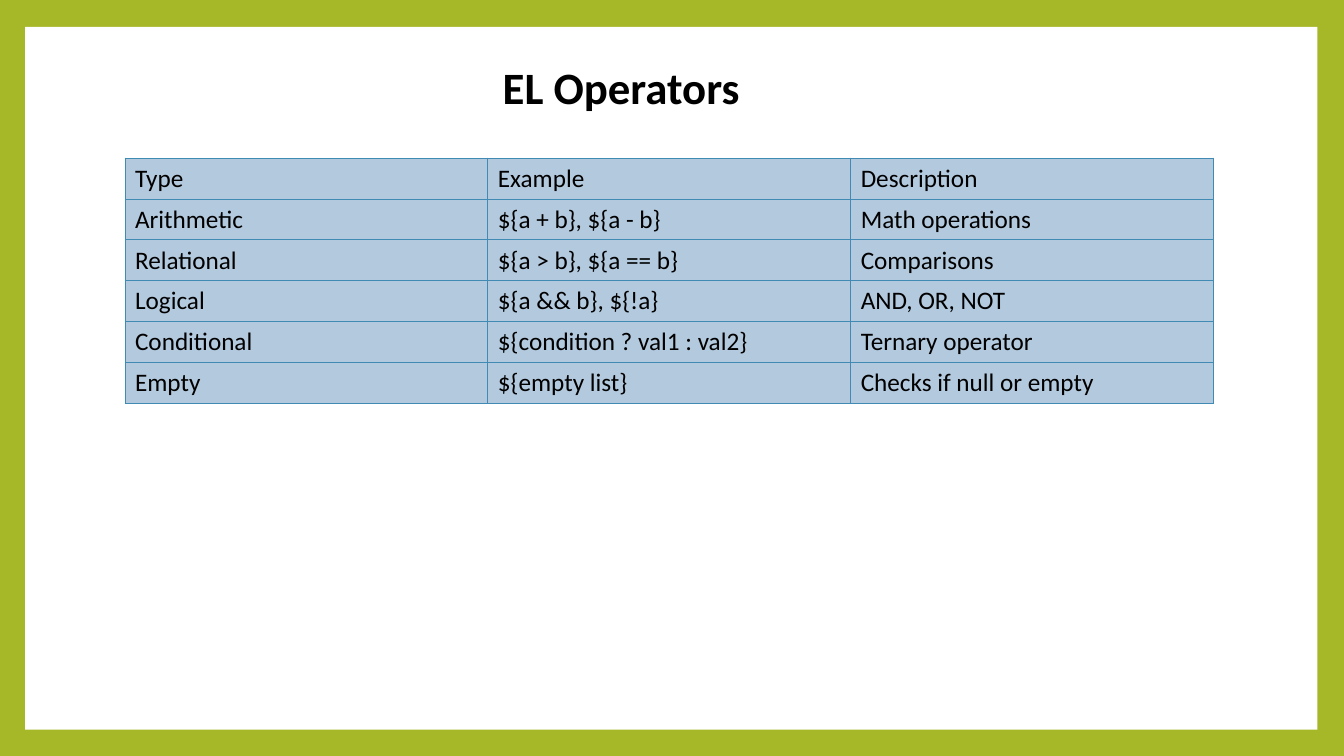
from lxml.etree import SubElement
from pptx import Presentation
from pptx.dml.color import RGBColor
from pptx.enum.shapes import MSO_SHAPE
from pptx.enum.text import MSO_ANCHOR
from pptx.oxml.ns import qn
from pptx.util import Pt

# Content
TITLE = "EL Operators"
ROWS = [
    ("Type", "Example", "Description"),
    ("Arithmetic", "${a + b}, ${a - b}", "Math operations"),
    ("Relational", "${a > b}, ${a == b}", "Comparisons"),
    ("Logical", "${a && b}, ${!a}", "AND, OR, NOT"),
    ("Conditional", "${condition ? val1 : val2}", "Ternary operator"),
    ("Empty", "${empty list}", "Checks if null or empty"),
]


class Theme:
    font = "Calibri"
    head, body = 32, 18
    frame, page, cell = "A6B727", "FFFFFF", "B3C9DE"
    edge, ink = "418AB3", "000000"
    rule = 0.79


def paint(fill, color):
    fill.solid()
    fill.fore_color.rgb = RGBColor.from_string(color)


def write(frame, text, size=Theme.body, bold=False, color=Theme.ink):
    run = frame.paragraphs[0].add_run()
    run.text = text
    run.font.name = Theme.font
    run.font.size = Pt(size)
    run.font.bold = bold
    run.font.color.rgb = RGBColor.from_string(color)


def outline(cell):
    props = cell._tc.get_or_add_tcPr()
    for i, side in enumerate(("a:lnL", "a:lnR", "a:lnT", "a:lnB")):
        line = props.makeelement(qn(side), {"w": str(Pt(Theme.rule))})
        fill = SubElement(line, qn("a:solidFill"))
        SubElement(fill, qn("a:srgbClr"), val=Theme.edge)
        props.insert(i, line)


def main():
    deck = Presentation()
    deck.slide_width, deck.slide_height = Pt(960), Pt(540)
    slide = deck.slides.add_slide(deck.slide_layouts[6])

    # Green frame around a white page
    paint(slide.background.fill, Theme.frame)
    page = slide.shapes.add_shape(
        MSO_SHAPE.RECTANGLE, Pt(18), Pt(19.2), Pt(923), Pt(502))
    page.shadow.inherit = False
    page.line.fill.background()
    paint(page.fill, Theme.page)

    # Operator table
    wide, high = 259.2, 28.8
    count, cols = len(ROWS), len(ROWS[0])
    grid = slide.shapes.add_table(
        count, cols, Pt(89.3), Pt(113), Pt(wide * cols), Pt(high * count)).table
    grid.first_row = True
    grid.horz_banding = False
    for r, row in enumerate(ROWS):
        for c, text in enumerate(row):
            cell = grid.cell(r, c)
            cell.vertical_anchor = MSO_ANCHOR.MIDDLE
            paint(cell.fill, Theme.cell)
            outline(cell)
            write(cell.text_frame, text)

    # Title
    box = slide.shapes.add_textbox(Pt(352), Pt(39), Pt(197), Pt(46))
    box.text_frame.word_wrap = True
    write(box.text_frame, TITLE, size=Theme.head, bold=True)

    deck.save("out.pptx")


if __name__ == "__main__":
    main()
